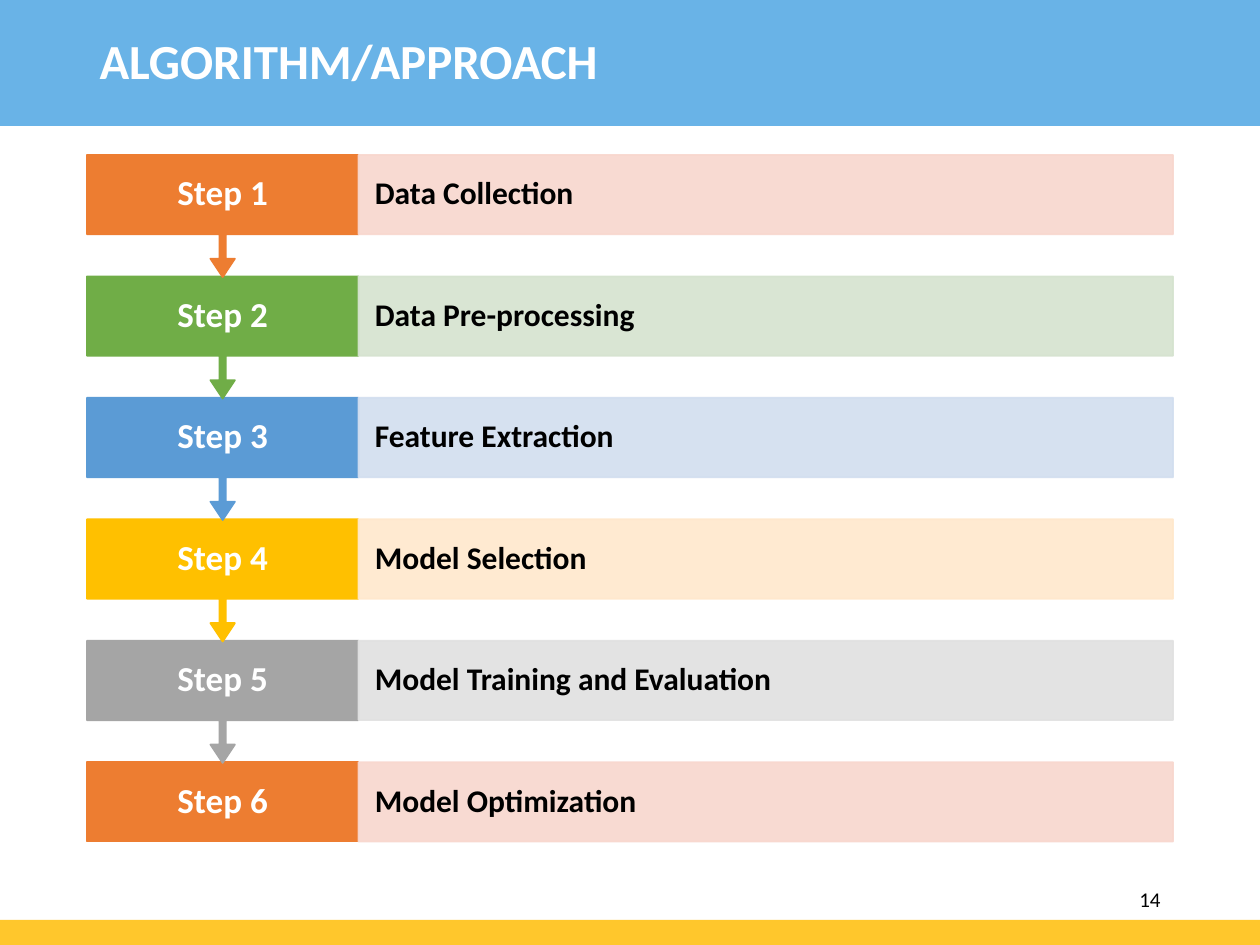
from dataclasses import dataclass

import pptx
import pptx.dml.color
import pptx.enum.shapes
import pptx.enum.text
import pptx.oxml
import pptx.oxml.ns
import pptx.util
from pptx.shapes.autoshape import Shape
from pptx.slide import Slide

RGBColor = pptx.dml.color.RGBColor
Preset = pptx.enum.shapes.MSO_SHAPE
Align = pptx.enum.text.PP_ALIGN
Inches = pptx.util.Inches

WHITE = RGBColor(0xFF, 0xFF, 0xFF)
BLACK = RGBColor(0x00, 0x00, 0x00)
HEADER_BLUE = RGBColor(0x69, 0xB3, 0xE7)
FOOTER_YELLOW = RGBColor(0xFF, 0xC7, 0x2C)
ORANGE = RGBColor(0xED, 0x7D, 0x31)
GREEN = RGBColor(0x70, 0xAD, 0x47)
BLUE = RGBColor(0x5B, 0x9B, 0xD5)
GOLD = RGBColor(0xFF, 0xC0, 0x00)
GRAY = RGBColor(0xA5, 0xA5, 0xA5)
PALE_ORANGE = RGBColor(0xF8, 0xD7, 0xCE)
PALE_GREEN = RGBColor(0xD5, 0xE3, 0xCF)
PALE_BLUE = RGBColor(0xD2, 0xDE, 0xEF)
PALE_GOLD = RGBColor(0xFF, 0xE8, 0xCC)
PALE_GRAY = RGBColor(0xE1, 0xE1, 0xE1)

FONT = "Calibri"
SLIDE_WIDTH, SLIDE_HEIGHT = 10, 7.5
MARGIN = 0.69
CONTENT_WIDTH = SLIDE_WIDTH - 2 * MARGIN
LABEL_WIDTH = CONTENT_WIDTH / 4
FIRST_ROW = 1.23
ROW_PITCH = 0.964
BOX_SHARE = 0.65  # part of a row taken by the box, above its arrow
BOX_HEIGHT = 0.63
CALLOUT_HEIGHT = BOX_HEIGHT / BOX_SHARE
CALLOUT_ADJUSTMENTS = (0.05, 0.1, 0.15, BOX_SHARE)


@dataclass(frozen=True)
class Box:
    left: float
    top: float
    width: float
    height: float

    def emu(self) -> tuple[int, ...]:
        return tuple(Inches(v) for v in (self.left, self.top, self.width, self.height))


@dataclass(frozen=True)
class Step:
    activity: str
    color: RGBColor
    pale: RGBColor


STEPS = (
    Step("Data Collection", ORANGE, PALE_ORANGE),
    Step("Data Pre-processing", GREEN, PALE_GREEN),
    Step("Feature Extraction", BLUE, PALE_BLUE),
    Step("Model Selection", GOLD, PALE_GOLD),
    Step("Model Training and Evaluation", GRAY, PALE_GRAY),
    Step("Model Optimization", ORANGE, PALE_ORANGE),
)


def write(shape: Shape, text: str, size: float, color: RGBColor,
          align: Align = Align.LEFT, bold: bool = True, side_inset: float = 0.1) -> None:
    frame = shape.text_frame
    frame.text = text
    frame.word_wrap = True
    frame.auto_size = pptx.enum.text.MSO_AUTO_SIZE.NONE
    frame.vertical_anchor = pptx.enum.text.MSO_ANCHOR.MIDDLE
    frame.margin_left = frame.margin_right = Inches(side_inset)
    paragraph = frame.paragraphs[0]
    paragraph.alignment = align
    paragraph.line_spacing = 0.9
    font = paragraph.runs[0].font
    font.name, font.size, font.bold = FONT, pptx.util.Pt(size), bold
    font.color.rgb = color


def add_block(slide: Slide, preset: Preset, box: Box, color: RGBColor,
              outlined: bool = True) -> Shape:
    shape = slide.shapes.add_shape(preset, *box.emu())
    shape.shadow.inherit = False
    shape.fill.solid()
    shape.fill.fore_color.rgb = color
    if outlined:
        shape.line.color.rgb = color
        shape.line.width = pptx.util.Pt(1)
    else:
        shape.line.fill.background()
    return shape


def set_opacity(shape: Shape, percent: int) -> None:
    """Apply the opacity to both fill and outline."""
    for color in shape.element.spPr.iter(pptx.oxml.ns.qn("a:srgbClr")):
        color.append(pptx.oxml.parse_xml(
            f'<a:alpha {pptx.oxml.ns.nsdecls("a")} val="{percent * 1000}"/>'))


def add_step(slide: Slide, row: int, step: Step, is_last: bool) -> None:
    top = FIRST_ROW + row * ROW_PITCH
    if is_last:
        preset, height = Preset.RECTANGLE, BOX_HEIGHT
    else:
        preset, height = Preset.DOWN_ARROW_CALLOUT, CALLOUT_HEIGHT
    label = add_block(slide, preset, Box(MARGIN, top, LABEL_WIDTH, height), step.color)
    if not is_last:
        for index, value in enumerate(CALLOUT_ADJUSTMENTS):
            label.adjustments[index] = value
    write(label, f"Step {row + 1}", 20, WHITE, Align.CENTER, side_inset=0.15)

    activity = add_block(
        slide, Preset.RECTANGLE,
        Box(MARGIN + LABEL_WIDTH, top, CONTENT_WIDTH - LABEL_WIDTH, BOX_HEIGHT), step.pale)
    set_opacity(activity, 90)
    write(activity, step.activity, 18, BLACK, side_inset=0.13)


def main() -> None:
    presentation = pptx.Presentation()
    presentation.slide_width = Inches(SLIDE_WIDTH)
    presentation.slide_height = Inches(SLIDE_HEIGHT)
    slide = presentation.slides.add_slide(presentation.slide_layouts[5])

    header = add_block(slide, Preset.RECTANGLE, Box(0, 0, SLIDE_WIDTH, 1),
                       HEADER_BLUE, outlined=False)
    add_block(slide, Preset.RECTANGLE, Box(0, SLIDE_HEIGHT - 0.2, SLIDE_WIDTH, 0.2),
              FOOTER_YELLOW, outlined=False)

    title = slide.shapes.title
    title.left, title.top, title.width, title.height = Box(MARGIN, 0.03, 7.15, 0.95).emu()
    write(title, "ALGORITHM/APPROACH", 28, WHITE)
    header.element.addnext(title.element)

    # Bottom row first, so that each arrow tip lies over the box below it.
    for row, step in reversed(tuple(enumerate(STEPS))):
        add_step(slide, row, step, is_last=row == len(STEPS) - 1)

    page_number = slide.shapes.add_textbox(
        *Box(SLIDE_WIDTH - MARGIN - 2.25, 6.95, 2.25, 0.4).emu())
    write(page_number, "14", 12, BLACK, Align.RIGHT, bold=False)

    presentation.save("out.pptx")


if __name__ == "__main__":
    main()
